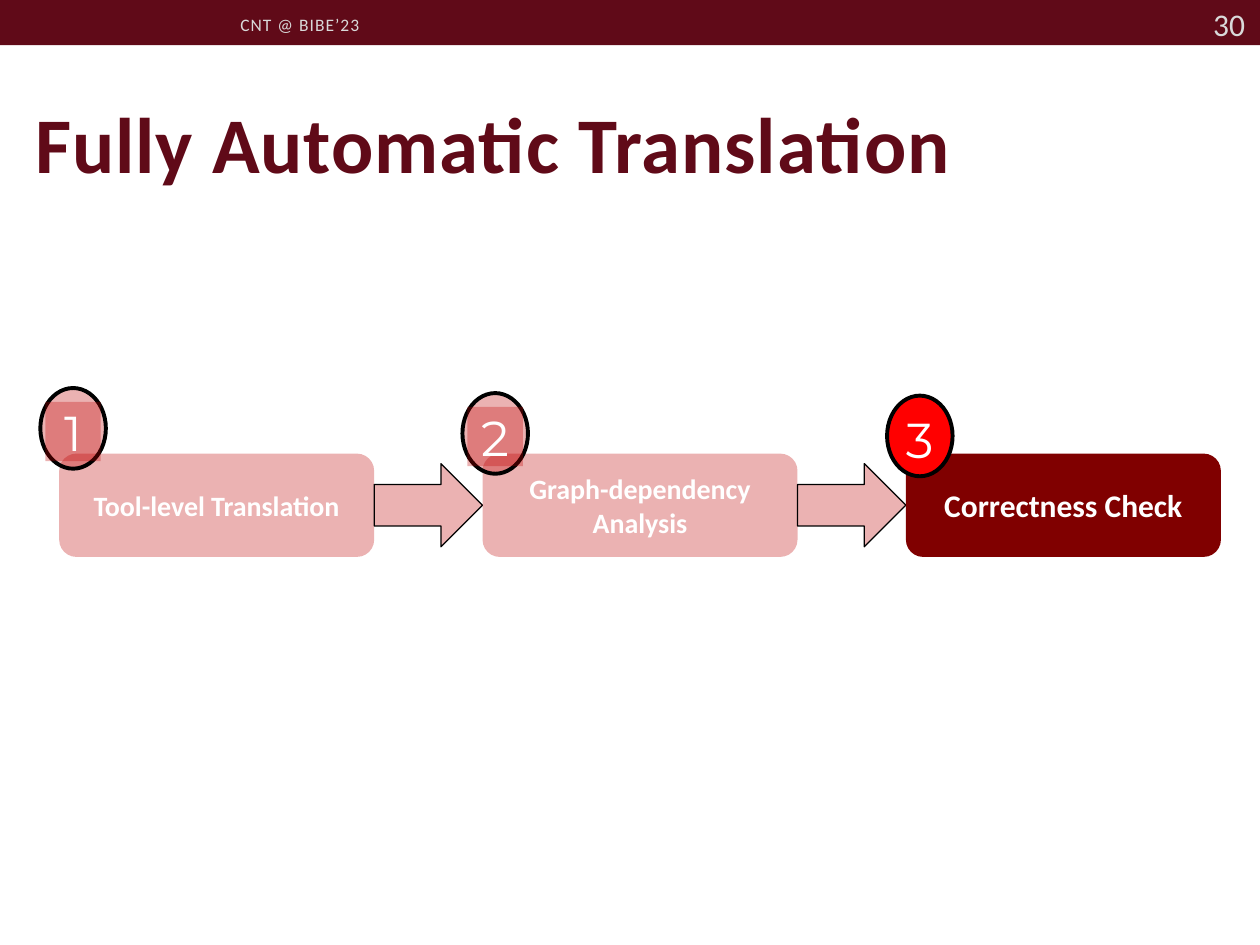
"""Build the slide on the three steps of fully automatic translation."""
from pptx import Presentation
from pptx.dml.color import RGBColor as Rgb
from pptx.enum.shapes import MSO_SHAPE as Kind
from pptx.enum.text import MSO_ANCHOR as Anchor, PP_ALIGN as Align
from pptx.oxml.ns import qn
from pptx.util import Inches, Pt
from lxml.etree import SubElement

HUE = {"wine": "600A18", "gray": "D9D9D9", "red": "C00000", "dark": "800000",
       "hot": "FF0000", "white": "FFFFFF", "black": "000000"}

deck = Presentation()
deck.slide_width, deck.slide_height = Inches(10), Inches(7.5)
slide = deck.slides.add_slide(deck.slide_layouts[6])


def draw(kind, box, fill=None, faded=False, line=0):
    shape = slide.shapes.add_shape(kind, *map(Inches, box))
    shape.shadow.inherit = False
    if fill:
        shape.fill.solid()
        shape.fill.fore_color.rgb = Rgb.from_string(HUE[fill])
    else:
        shape.fill.background()
    if faded:
        tint = shape.fill._xPr.find(".//" + qn("a:srgbClr"))
        SubElement(tint, qn("a:alpha"), val="30000")
    if line:
        shape.line.color.rgb = Rgb.from_string(HUE["black"])
        shape.line.width = Pt(line)
    else:
        shape.line.fill.background()
    return shape


def write(shape, text, size, hue="white", font="Calibri", bold=False,
          align=Align.CENTER, anchor=Anchor.MIDDLE, pad=0, gap=0):
    frame = shape.text_frame
    frame.text = text
    frame.word_wrap = True
    frame.vertical_anchor = anchor
    frame.margin_top = frame.margin_bottom = Inches(pad)
    para = frame.paragraphs[0]
    para.alignment = align
    run = para.runs[0]
    run.font.name, run.font.size, run.font.bold = font, Pt(size), bold
    run.font.color.rgb = Rgb.from_string(HUE[hue])
    if gap:
        run.font._element.set("spc", str(gap))


draw(Kind.RECTANGLE, (0, 0, 10, 0.36), "wine")
heads = [
    ((9.1, -0.01, 0.88, 0.4), "30",
     dict(size=18, hue="gray", align=Align.RIGHT)),
    ((1.81, 0.05, 3.56, 0.29), "CNT @ BIBE’23",
     dict(size=10, hue="gray", align=Align.LEFT, gap=60)),
    ((0.18, 0.3, 9.62, 1.25), "Fully Automatic Translation",
     dict(size=45, hue="wine", bold=True, align=Align.LEFT,
          anchor=Anchor.BOTTOM, gap=50)),
]
for box, text, look in heads:
    label = slide.shapes.add_textbox(*map(Inches, box))
    write(label, text, pad=0.05, **look)

steps = [
    ("Tool-level Translation", 16, True, (0.32, 3.08)),
    ("Graph-dependency Analysis", 16, True, (3.67, 3.12)),
    ("Correctness Check", 18, False, (7.04, 3.14)),
]
left, top, wide, high, pitch = 0.47, 3.6, 2.5, 0.82, 3.36
for i, (text, size, faded, spot) in enumerate(steps):
    x = left + i * pitch
    step = draw(Kind.ROUNDED_RECTANGLE, (x, top, wide, high),
                "red" if faded else "dark", faded)
    write(step, text, size, bold=True)
    if i < len(steps) - 1:
        draw(Kind.RIGHT_ARROW, (x + wide, 3.68, pitch - wide, 0.66),
             "red", True, 0.75)

for i, (text, size, faded, (x, y)) in enumerate(steps, 1):
    draw(Kind.OVAL, (x, y, 0.52, 0.64), "red" if faded else "hot", faded, 2.25)
    badge = draw(Kind.RECTANGLE, (x + 0.04, y + 0.11, 0.44, 0.47),
                 "red" if faded else None, faded)
    write(badge, str(i), 28, font="Montserrat")

deck.save("out.pptx")
